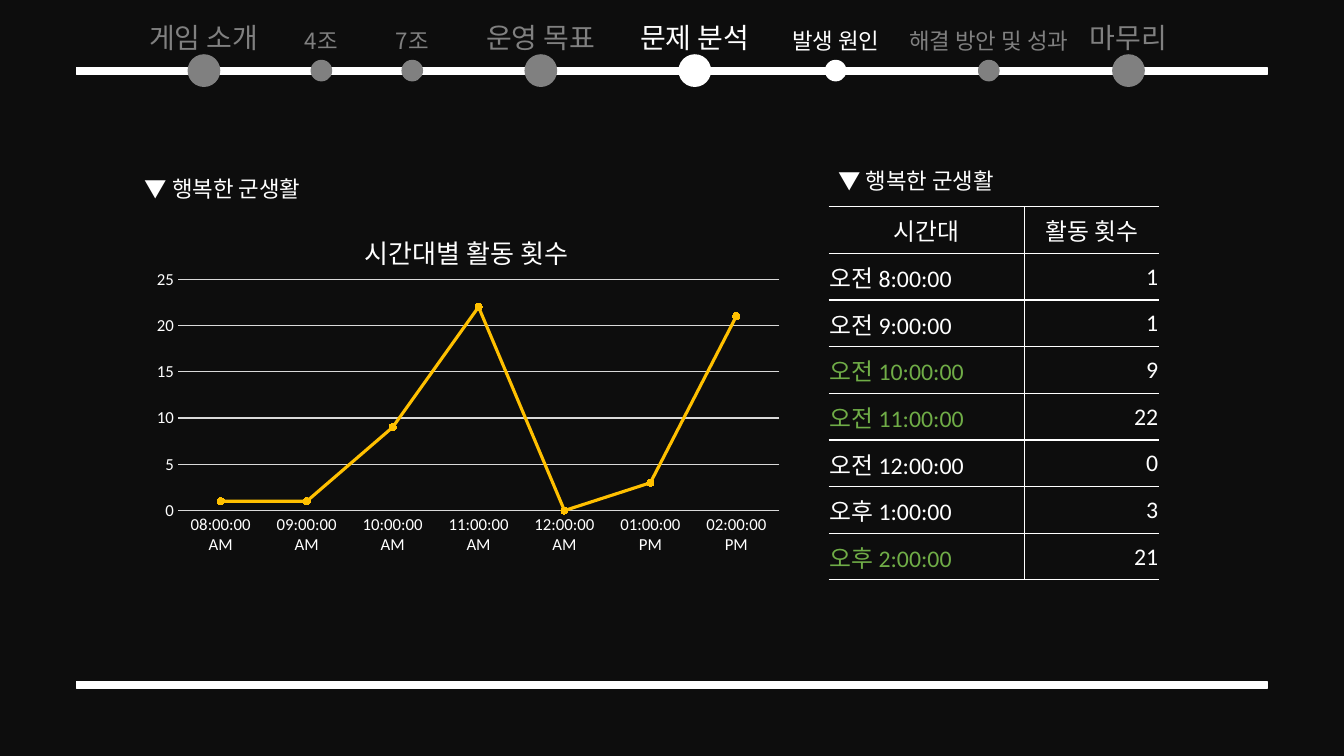
import dataclasses

import lxml.etree
import pptx
import pptx.chart.data
import pptx.dml.color
import pptx.enum.chart
import pptx.enum.shapes
import pptx.enum.text
import pptx.oxml.ns
import pptx.util

Cm = pptx.util.Cm
Pt = pptx.util.Pt
qn = pptx.oxml.ns.qn
ALIGN = pptx.enum.text.PP_ALIGN


@dataclasses.dataclass(frozen=True)
class Theme:
    """Colours, fonts and type sizes of the slide."""
    background: str = "0D0D0D"
    active: str = "FFFFFF"
    muted: str = "808080"
    grid: str = "D9D9D9"
    series: str = "FFC000"
    highlight: str = "70AD47"
    korean: str = "Noto Sans CJK KR"
    latin: str = "Calibri"
    section: float = 20
    step: float = 16
    cell: float = 17
    chart_title: float = 18.6
    axis: float = 12


THEME = Theme()
SECTIONS = [
    ("게임 소개", 5.14, 3.43, True),
    ("4조", 8.1, 1.7, False),
    ("7조", 10.39, 1.7, False),
    ("운영 목표", 13.63, 3.43, True),
    ("문제 분석", 17.51, 3.43, True),
    ("발생 원인", 21.06, 3.12, False),
    ("해결 방안 및 성과", 24.92, 4.78, False),
    ("마무리", 28.44, 3.43, True),
]
CURRENT = {"문제 분석", "발생 원인"}
ACTIVITY = [
    ("08:00:00 AM", "오전 8:00:00", 1),
    ("09:00:00 AM", "오전 9:00:00", 1),
    ("10:00:00 AM", "오전 10:00:00", 9),
    ("11:00:00 AM", "오전 11:00:00", 22),
    ("12:00:00 AM", "오전 12:00:00", 0),
    ("01:00:00 PM", "오후 1:00:00", 3),
    ("02:00:00 PM", "오후 2:00:00", 21),
]
BUSY_COUNT = 9


def rgb(value):
    """Return a colour object for a hex value."""
    return pptx.dml.color.RGBColor.from_string(value)


def apply(target, values):
    """Set each attribute named in a dict of format values."""
    for name, value in values.items():
        setattr(target, name, value)


def format_font(font, name, size, color):
    """Set font name, size and colour."""
    apply(font, {"name": name, "size": Pt(size), "bold": False})
    font.color.rgb = rgb(color)


def write(paragraph, text, name, size, color, **values):
    """Write one formatted run with a Korean face for Hangul."""
    apply(paragraph, values)
    run = paragraph.add_run()
    run.text = text
    format_font(run.font, name, size, color)
    properties = run._r.get_or_add_rPr()
    lxml.etree.SubElement(properties, qn("a:ea"), typeface=THEME.korean)


def add_solid(slide, kind, box, color):
    """Add a preset shape whose fill and outline share one colour."""
    shape = slide.shapes.add_shape(kind, *map(Cm, box))
    shape.shadow.inherit = False
    shape.fill.solid()
    shape.fill.fore_color.rgb = rgb(color)
    shape.line.color.rgb = rgb(color)
    shape.line.width = Pt(1)


def add_bar(slide, top):
    """Add a full-width white bar."""
    add_solid(slide, pptx.enum.shapes.MSO_SHAPE.RECTANGLE,
              (1.93, top, 30, 0.18), THEME.active)


def add_label(slide, box, text, size, color, auto_size, **values):
    """Add a wrapped text box with one paragraph."""
    frame = slide.shapes.add_textbox(*map(Cm, box)).text_frame
    apply(frame, {"word_wrap": True, "auto_size": auto_size})
    write(frame.paragraphs[0], text, THEME.korean, size, color, **values)


def add_navigation(slide, top):
    """Draw the section timeline with its dots and labels."""
    add_bar(slide, top + 1.7)
    for text, center, width, major in SECTIONS:
        color = THEME.active if text in CURRENT else THEME.muted
        diameter = 0.79 if major else 0.51
        add_solid(slide, pptx.enum.shapes.MSO_SHAPE.OVAL,
                  (center - diameter / 2, top + 1.78 - diameter / 2, diameter, diameter), color)
        add_label(slide, (center - width / 2, top + (0.05 if major else 0.21), width, 1.3),
                  text, THEME.section if major else THEME.step, color,
                  pptx.enum.text.MSO_AUTO_SIZE.NONE,
                  alignment=ALIGN.CENTER, line_spacing=1.4 if major else 1.5)


def add_caption(slide, left, top):
    """Add the heading above a panel."""
    add_label(slide, (left, top, 6.76, 1.17), "▼ 행복한 군생활", THEME.step, THEME.active,
              pptx.enum.text.MSO_AUTO_SIZE.SHAPE_TO_FIT_TEXT, line_spacing=1.5)


def set_layout(parent, **values):
    """Place a chart part by fractions of the chart area."""
    for old in parent.findall(qn("c:layout")):
        parent.remove(old)
    layout = lxml.etree.Element(qn("c:layout"))
    manual = lxml.etree.SubElement(layout, qn("c:manualLayout"))
    for name, value in values.items():
        lxml.etree.SubElement(manual, qn(f"c:{name}"), val=str(value))
    text = parent.find(qn("c:tx"))
    parent.insert(0 if text is None else parent.index(text) + 1, layout)


def add_activity_chart(slide, box):
    """Draw the line chart of activity by hour."""
    data = pptx.chart.data.CategoryChartData()
    data.categories = [row[0] for row in ACTIVITY]
    data.add_series("활동 횟수", [row[2] for row in ACTIVITY])
    chart = slide.shapes.add_chart(
        pptx.enum.chart.XL_CHART_TYPE.LINE_MARKERS, *map(Cm, box), data).chart
    apply(chart, {"has_legend": False, "has_title": True})
    format_font(chart.font, THEME.latin, THEME.axis, THEME.active)
    title = chart.chart_title
    write(title.text_frame.paragraphs[0], "시간대별 활동 횟수",
          THEME.korean, THEME.chart_title, THEME.active)
    title.include_in_layout = False
    set_layout(title._element, xMode="edge", yMode="edge", x=0.34, y=0.05)
    set_layout(chart._chartSpace.chart.plotArea, layoutTarget="inner", xMode="edge",
               yMode="edge", x=0.065, y=0.194, w=0.911, h=0.619)

    tick = pptx.enum.chart.XL_TICK_MARK.NONE
    for axis in (chart.category_axis, chart.value_axis):
        apply(axis, {"major_tick_mark": tick, "minor_tick_mark": tick})
        format_font(axis.tick_labels.font, THEME.latin, THEME.axis, THEME.active)
    apply(chart.value_axis, {"minimum_scale": 0, "maximum_scale": 25, "major_unit": 5,
                             "has_major_gridlines": True})
    chart.value_axis.format.line.fill.background()
    for part in (chart.category_axis, chart.value_axis.major_gridlines):
        part.format.line.color.rgb = rgb(THEME.grid)
        part.format.line.width = Pt(0.75)

    plot = chart.plots[0]
    plot.vary_by_categories = False
    series = plot.series[0]
    series.smooth = False
    series.format.line.color.rgb = rgb(THEME.series)
    series.format.line.width = Pt(2.25)
    apply(series.marker, {"style": pptx.enum.chart.XL_MARKER_STYLE.CIRCLE, "size": 5})
    series.marker.format.fill.solid()
    series.marker.format.fill.fore_color.rgb = rgb(THEME.series)
    series.marker.format.line.color.rgb = rgb(THEME.series)


def set_borders(cell, visible):
    """Draw the named cell sides in white and hide the others."""
    properties = cell._tc.get_or_add_tcPr()
    for index, side in enumerate("LRTB"):
        line = lxml.etree.Element(qn(f"a:ln{side}"), w=str(Pt(1)))
        if side in visible:
            fill = lxml.etree.SubElement(line, qn("a:solidFill"))
            lxml.etree.SubElement(fill, qn("a:srgbClr"), val=THEME.active)
        else:
            lxml.etree.SubElement(line, qn("a:noFill"))
        properties.insert(index, line)


def add_activity_table(slide, box):
    """Draw the table of activity by hour, with busy hours in green."""
    rows = [("시간대", "활동 횟수")] + [row[1:] for row in ACTIVITY]
    table = slide.shapes.add_table(len(rows), 2, *map(Cm, box)).table
    apply(table, {"first_row": False, "horz_banding": False})
    for column, width in zip(table.columns, (4.93, box[2] - 4.93)):
        column.width = Cm(width)
    for row_index, values in enumerate(rows):
        table.rows[row_index].height = Cm(box[3] / len(rows))
        for column_index, value in enumerate(values):
            cell = table.cell(row_index, column_index)
            apply(cell, {"margin_left": Cm(0.02), "margin_right": Cm(0.02),
                         "margin_top": Cm(0.02), "margin_bottom": 0,
                         "vertical_anchor": pptx.enum.text.MSO_ANCHOR.MIDDLE})
            cell.fill.background()
            set_borders(cell, "LTB" if column_index else "RTB")
            busy = row_index > 0 and column_index == 0 and values[1] >= BUSY_COUNT
            alignment = (ALIGN.LEFT, ALIGN.RIGHT)[column_index] if row_index else ALIGN.CENTER
            write(cell.text_frame.paragraphs[0], str(value), THEME.latin, THEME.cell,
                  THEME.highlight if busy else THEME.active, alignment=alignment)


def main():
    """Build and save the slide."""
    presentation = pptx.Presentation()
    apply(presentation, {"slide_width": Cm(33.87), "slide_height": Cm(19.05)})
    slide = presentation.slides.add_slide(presentation.slide_layouts[6])
    slide.background.fill.solid()
    slide.background.fill.fore_color.rgb = rgb(THEME.background)
    add_bar(slide, 17.17)
    add_activity_chart(slide, (3.4, 5.21, 16.64, 9.42))
    add_activity_table(slide, (20.88, 5.21, 8.33, 9.4))
    add_caption(slide, 20.88, 3.76)
    add_caption(slide, 3.4, 3.94)
    add_navigation(slide, 0)
    presentation.save("out.pptx")


if __name__ == "__main__":
    main()
